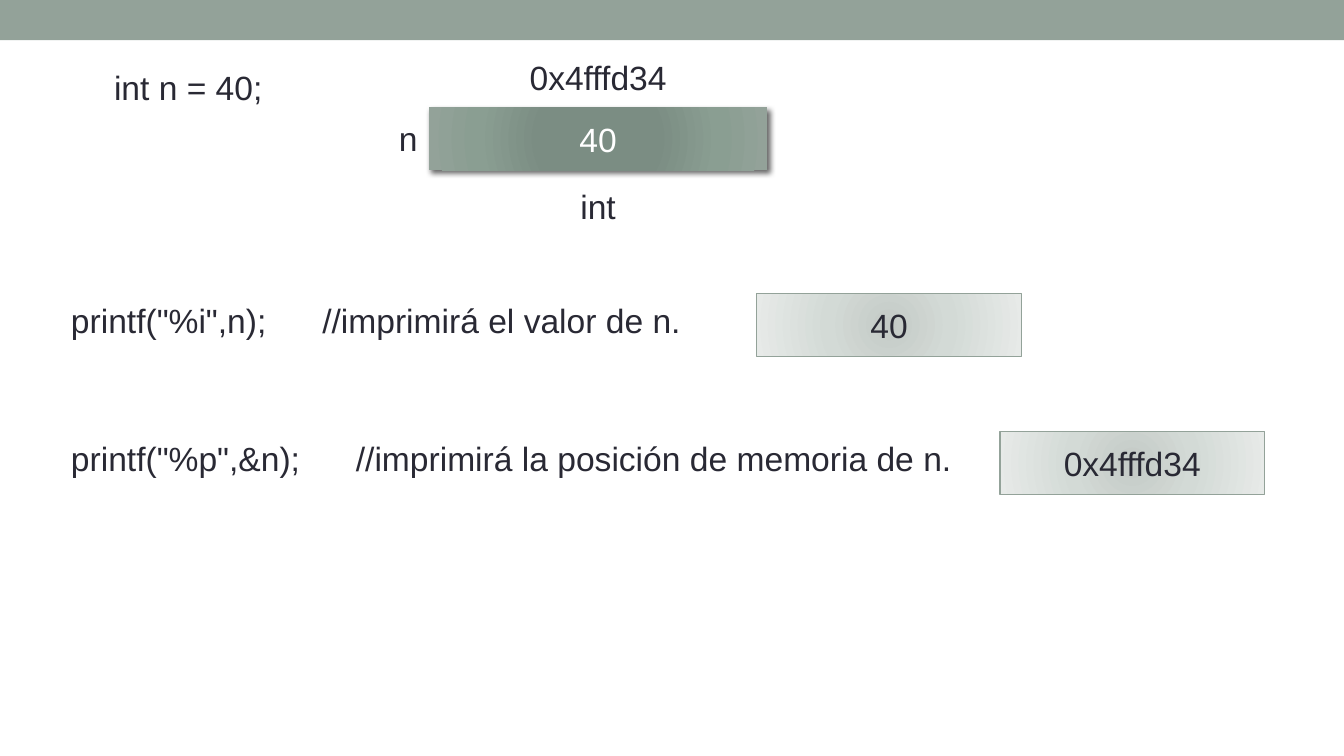
from dataclasses import dataclass
from typing import Optional

import pptx
import pptx.dml.color
import pptx.enum.shapes
import pptx.enum.text
import pptx.oxml
import pptx.oxml.ns
import pptx.util

COLORS = {"accent": "93A299", "ink": "292934", "white": "FFFFFF", "shadow": "000000"}
DARK = ((0, "7B8E82"), (34, "7B8D83"), (70, "8A9E92"), (100, "93A299"))
LIGHT = ((0, "C4CAC6"), (45, "D3DAD6"), (100, "E7EAE8"))
WIDTH = pptx.util.Inches(10)
HEIGHT = WIDTH * 9 // 16
COLS, ROWS = 100, 56.25
CENTER = pptx.enum.text.PP_ALIGN.CENTER
NS = pptx.oxml.ns.nsdecls("a")


@dataclass(frozen=True)
class Area:
    col: float
    row: float
    cols: float
    rows: float

    def emu(self) -> tuple:
        x, y = WIDTH / COLS, HEIGHT / ROWS
        return (round(self.col * x), round(self.row * y),
                round(self.cols * x), round(self.rows * y))


@dataclass(frozen=True)
class Label:
    text: str
    area: Area
    centered: bool = False
    tab: Optional[float] = None


@dataclass(frozen=True)
class Cell:
    text: str
    area: Area
    stops: tuple
    ink: str = "ink"
    raised: bool = False


MEMORY = Area(31.9, 7.97, 25.2, 4.7)
PRINT_ROWS = (21.83, 32.1)

LABELS = (
    Label("int n = 40;", Area(7.5, 4.5, 16.5, 4)),
    Label("n", Area(28.7, 8.3, 3.1, 4)),
    Label("0x4fffd34", Area(MEMORY.col, 3.74, MEMORY.cols, 4), True),
    Label("int", Area(MEMORY.col, 13.36, MEMORY.cols, 4), True),
    Label('printf("%i",n);\t//imprimirá el valor de n.',
          Area(4.3, PRINT_ROWS[0], 48, 7.1), tab=18.7),
    Label('printf("%p",&n);\t//imprimirá la posición de memoria de n.',
          Area(4.3, PRINT_ROWS[1], 67.7, 7.1), tab=21.2),
)
CELLS = (
    Cell("40", MEMORY, DARK, "white", True),
    Cell("40", Area(56.3, PRINT_ROWS[0], 19.7, 4.7), LIGHT),
    Cell("0x4fffd34", Area(74.4, PRINT_ROWS[1], 19.7, 4.7), LIGHT),
)


def rgb(name: str) -> pptx.dml.color.RGBColor:
    return pptx.dml.color.RGBColor.from_string(COLORS[name])


def write(sp, text: str, ink: str, centered: bool, tab: Optional[float] = None) -> None:
    tf = sp.text_frame
    tf.word_wrap = True
    p = tf.paragraphs[0]
    p.text = text
    if centered:
        p.alignment = CENTER
    if tab is not None:
        pos = round(tab * WIDTH / COLS)
        p._p.get_or_add_pPr().append(pptx.oxml.parse_xml(
            f'<a:tabLst {NS}><a:tab pos="{pos}" algn="l"/></a:tabLst>'))
    p.font.name = "Arial"
    p.font.size = pptx.util.Pt(18)
    p.font.color.rgb = rgb(ink)


def draw_label(s, label: Label) -> None:
    sp = s.shapes.add_textbox(*label.area.emu())
    write(sp, label.text, "ink", label.centered, label.tab)


def add_rect(s, area: Area):
    sp = s.shapes.add_shape(pptx.enum.shapes.MSO_SHAPE.RECTANGLE, *area.emu())
    sp.shadow.inherit = False
    sp.line.fill.background()
    return sp


def fill_radial(sp, stops: tuple) -> None:
    gs = "".join(f'<a:gs pos="{pos * 1000}"><a:srgbClr val="{color}"/></a:gs>'
                 for pos, color in stops)
    sp._element.spPr.find(pptx.oxml.ns.qn("a:prstGeom")).addnext(pptx.oxml.parse_xml(
        f'<a:gradFill {NS} rotWithShape="1"><a:gsLst>{gs}</a:gsLst><a:path path="circle">'
        '<a:fillToRect l="100000" t="100000" r="100000" b="100000"/></a:path></a:gradFill>'))


def cast_shadow(sp) -> None:
    blur, dist = pptx.util.Pt(3), pptx.util.Pt(2)
    sp._element.spPr.find(pptx.oxml.ns.qn("a:effectLst")).append(pptx.oxml.parse_xml(
        f'<a:outerShdw {NS} blurRad="{blur}" dist="{dist}" dir="2700000">'
        f'<a:srgbClr val="{COLORS["shadow"]}"><a:alpha val="60000"/></a:srgbClr></a:outerShdw>'))


def draw_cell(s, cell: Cell) -> None:
    sp = add_rect(s, cell.area)
    fill_radial(sp, cell.stops)
    if cell.raised:
        cast_shadow(sp)
    else:
        sp.line.color.rgb = rgb("accent")
        sp.line.width = pptx.util.Pt(0.75)
    sp.text_frame.vertical_anchor = pptx.enum.text.MSO_ANCHOR.MIDDLE
    write(sp, cell.text, cell.ink, True)


def main() -> None:
    prs = pptx.Presentation()
    prs.slide_width, prs.slide_height = WIDTH, HEIGHT
    s = prs.slides.add_slide(prs.slide_layouts[6])
    band = add_rect(s, Area(0, 0, COLS, 3))
    band.fill.solid()
    band.fill.fore_color.rgb = rgb("accent")
    for cell in CELLS:
        draw_cell(s, cell)
    for label in LABELS:
        draw_label(s, label)
    prs.save("out.pptx")


if __name__ == "__main__":
    main()
